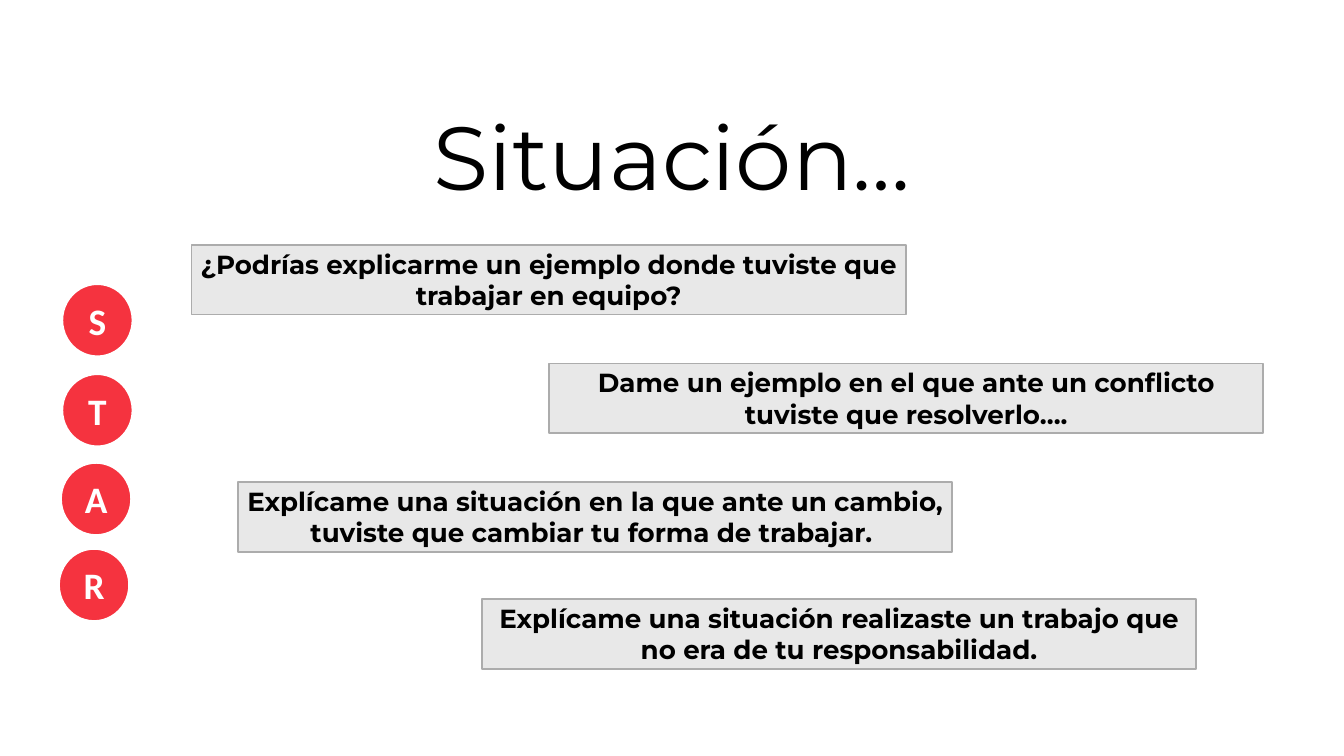
"""Build the STAR interview slide with sample questions about the situation."""
from pptx import Presentation
from pptx.dml.color import RGBColor
from pptx.enum import shapes, text
from pptx.util import Inches, Pt


def color(value):
    return RGBColor.from_string(value)


def write(shape, words, font, size, ink, bold, anchor, inset):
    frame = shape.text_frame
    frame.text = words
    frame.word_wrap = True
    frame.auto_size = text.MSO_AUTO_SIZE.SHAPE_TO_FIT_TEXT
    frame.vertical_anchor = anchor
    frame.margin_top = frame.margin_bottom = Inches(0.05)
    frame.margin_left = frame.margin_right = Inches(inset)
    paragraph = frame.paragraphs[0]
    paragraph.alignment = text.PP_ALIGN.CENTER
    style = paragraph.runs[0].font
    style.name, style.size, style.bold = font, Pt(size), bold
    style.color.rgb = color(ink)


prs = Presentation()
prs.slide_width, prs.slide_height = Inches(20), Inches(11.25)
slide = prs.slides.add_slide(prs.slide_layouts[6])

title = slide.shapes.add_textbox(Inches(0), Inches(1.45), Inches(20), Inches(1.72))
write(title, "Situación…", "Montserrat", 96, "000000", False, text.MSO_ANCHOR.TOP, 0.05)

letters = [("S", 0.92, 4.22), ("T", 0.92, 5.56), ("A", 0.9, 6.88), ("R", 0.87, 8.16)]
for letter, left, top in letters:
    badge = slide.shapes.add_shape(
        shapes.MSO_SHAPE.OVAL, Inches(left), Inches(top), Inches(1.06), Inches(1.09))
    badge.shadow.inherit = False
    badge.fill.solid()
    badge.fill.fore_color.rgb = color("F5333F")
    badge.line.color.rgb = color("FFFFFF")
    badge.line.width = Pt(3)
    write(badge, letter, "Calibri", 40, "FFFFFF", True, text.MSO_ANCHOR.MIDDLE, 0.05)

questions = [
    ("¿Podrías explicarme un ejemplo donde tuviste que trabajar en equipo?", 2.85, 3.64),
    ("Dame un ejemplo en el que ante un conflicto tuviste que resolverlo….", 8.17, 5.41),
    ("Explícame una situación en la que ante un cambio, "
     "tuviste que cambiar tu forma de trabajar. ", 3.54, 7.17),
    ("Explícame una situación realizaste un trabajo que "
     "no era de tu responsabilidad.", 7.17, 8.91),
]
for question, left, top in questions:
    card = slide.shapes.add_shape(
        shapes.MSO_SHAPE.RECTANGLE, Inches(left), Inches(top), Inches(10.63), Inches(1.04))
    card.shadow.inherit = False
    card.fill.solid()
    card.fill.fore_color.rgb = color("E8E8E8")
    card.line.color.rgb = color("ACACAC")
    card.line.width = Pt(2)
    write(card, question, "Montserrat", 28, "000000", True, text.MSO_ANCHOR.TOP, 0.1)

prs.save("out.pptx")
